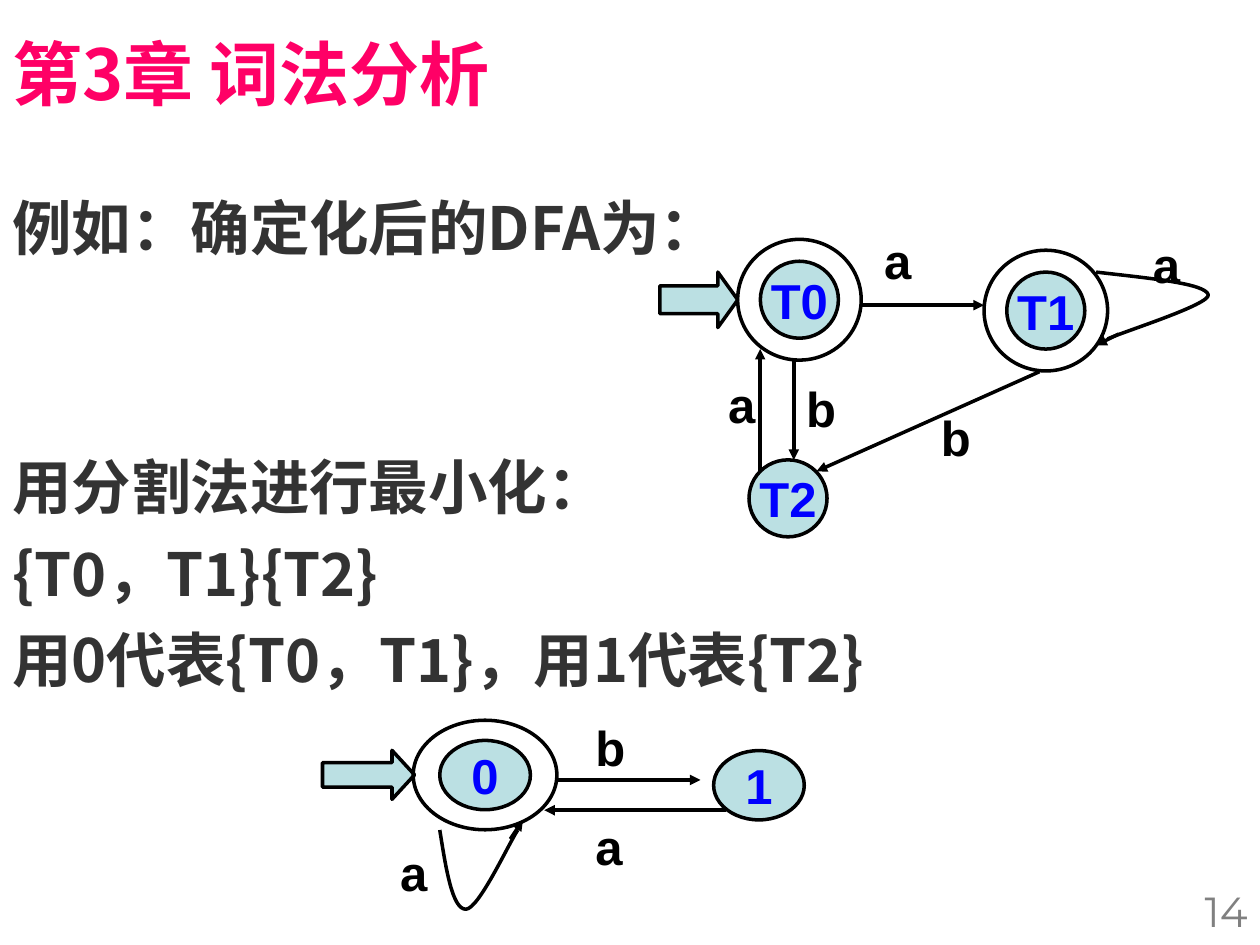
import pptx
import pptx.util
import pptx.dml.color
import pptx.enum.shapes
import pptx.enum.text
import pptx.oxml
import pptx.oxml.ns

Pt = pptx.util.Pt
qn = pptx.oxml.ns.qn
SHAPE = pptx.enum.shapes.MSO_SHAPE
ALIGN = pptx.enum.text.PP_ALIGN
ANCHOR = pptx.enum.text.MSO_ANCHOR

COLORS = {"title": "FF0066", "body": "333333", "page": "808080", "line": "000000",
          "state": "BBE0E3", "state_text": "0000FF", "label": "000000"}
HEADING = "Noto Sans CJK SC"
FORMATS = {
    "title": {"size": Pt(40), "bold": True, "name": HEADING},
    "body": {"size": Pt(34), "bold": True, "name": HEADING},
    "page": {"size": Pt(24), "bold": False, "name": "Montserrat"},
    "state_text": {"size": Pt(28), "bold": True, "name": "Arial"},
    "label": {"size": Pt(28), "bold": True, "name": "Arial"},
}

DFA = {
    "arrow": (0, 27.5, 44.6, 31.7, 0.36),
    "inner": (44.6, 44), "ring": (70.6, 69), "label_width": 57.6,
    "states": [("T0", 79.8, 43.3, True), ("T1", 220.6, 49.5, True),
               ("T2", 73.3, 156.8, False)],
    "edges": [(114.8, 46.4, 185.3, 46.4), (76.6, 77.9, 76.6, 134.8),
              (217, 84.4, 89.6, 141.3), (262.4, 62.8, 249.4, 69.3),
              (57.4, 141.3, 57.4, 71.4)],
    "loop": [(249.4, 27.5), (280.4, 31.1), (312, 34), (313.5, 40.5),
             (314.2, 46.2), (265.2, 61.4), (255.9, 65.7)],
    "labels": [("a", 121.2, 0.2), ("a", 32, 82.5), ("b", 153.6, 101.3),
               ("a", 274.8, 2.5), ("b", 76.6, 84.7)],
}
MINIMAL = {
    "arrow": (0.3, 22.8, 52.6, 28, 0.46),
    "inner": (51.8, 39.6), "ring": (82.1, 62.6), "label_width": 67,
    "states": [("0", 93.2, 36.9, True), ("1", 249.7, 42.7, False)],
    "edges": [(134.2, 39.7, 216.3, 39.7), (230.7, 57, 127, 57),
              (107.6, 73.5, 114.8, 62.7)],
    "loop": [(67.3, 68.3), (70.9, 90.8), (74.5, 113.6), (82.2, 113.6),
             (89.6, 113.6), (106.9, 75.7), (111.9, 68.3)],
    "labels": [("b", 149.2, 0.2), ("a", 149.2, 57), ("a", 37.6, 72)],
}


def rgb(key):
    return pptx.dml.color.RGBColor.from_string(COLORS[key])


def write(p, text, style):
    r = p.add_run()
    r.text = text
    for name, value in FORMATS[style].items():
        setattr(r.font, name, value)
    r.font.color.rgb = rgb(style)
    if FORMATS[style]["name"] == HEADING:
        ea = pptx.oxml.parse_xml(
            '<a:ea xmlns:a="http://schemas.openxmlformats.org/drawingml/2006/main"'
            f' typeface="{HEADING}"/>')
        r.font._element.find(qn("a:latin")).addnext(ea)


def text_box(s, box, lines, style, align=ALIGN.LEFT, anchor=ANCHOR.TOP):
    tf = s.shapes.add_textbox(*map(Pt, box)).text_frame
    tf.word_wrap = True
    tf.vertical_anchor = anchor
    for i, text in enumerate(lines):
        p = tf.paragraphs[0] if i == 0 else tf.add_paragraph()
        p.alignment = align
        write(p, text, style)
    return tf


def outline(sp, fill=None):
    sp.shadow.inherit = False
    if fill:
        sp.fill.solid()
        sp.fill.fore_color.rgb = rgb(fill)
    else:
        sp.fill.background()
    sp.line.color.rgb = rgb("line")
    sp.line.width = Pt(2)


def ellipse(s, cx, cy, size, fill=None):
    w, h = size
    sp = s.shapes.add_shape(SHAPE.OVAL, Pt(cx - w / 2), Pt(cy - h / 2), Pt(w), Pt(h))
    outline(sp, fill)
    return sp


def state(s, cx, cy, name, inner):
    tf = ellipse(s, cx, cy, inner, "state").text_frame
    tf.word_wrap = False
    tf.vertical_anchor = ANCHOR.MIDDLE
    tf.paragraphs[0].alignment = ALIGN.CENTER
    write(tf.paragraphs[0], name, "state_text")


def edge(s, x1, y1, x2, y2):
    c = s.shapes.add_connector(pptx.enum.shapes.MSO_CONNECTOR.STRAIGHT,
                               Pt(x1), Pt(y1), Pt(x2), Pt(y2))
    c.line.color.rgb = rgb("line")
    c.line.width = Pt(2)
    c.line._get_or_add_ln().append(pptx.oxml.parse_xml(
        '<a:tailEnd xmlns:a="http://schemas.openxmlformats.org/drawingml/2006/main"'
        ' type="triangle"/>'))
    c._element.spPr.append(pptx.oxml.parse_xml(
        '<a:effectLst xmlns:a="http://schemas.openxmlformats.org/drawingml/2006/main"/>'))


def curve(s, points):
    points = [(Pt(x), Pt(y)) for x, y in points]
    fb = s.shapes.build_freeform(*points[0])
    fb.add_line_segments(points[1:], close=False)
    sp = fb.convert_to_shape()
    outline(sp)
    segments = list(sp._element.iter(qn("a:lnTo")))
    for i in range(0, len(segments), 3):
        bezier = segments[i].makeelement(qn("a:cubicBezTo"), {})
        segments[i].addprevious(bezier)
        for segment in segments[i:i + 3]:
            bezier.append(segment[0])
            segment.getparent().remove(segment)


def automaton(s, x, y, d):
    ax, ay, w, h, head = d["arrow"]
    sp = s.shapes.add_shape(SHAPE.RIGHT_ARROW, Pt(x + ax), Pt(y + ay), Pt(w), Pt(h))
    sp.adjustments[0], sp.adjustments[1] = 0.5, head
    outline(sp, "state")
    for name, cx, cy, final in d["states"]:
        state(s, x + cx, y + cy, name, d["inner"])
        if final:
            ellipse(s, x + cx, y + cy, d["ring"])
    for x1, y1, x2, y2 in d["edges"]:
        edge(s, x + x1, y + y1, x + x2, y + y2)
    curve(s, [(x + px, y + py) for px, py in d["loop"]])
    for text, lx, ly in d["labels"]:
        text_box(s, (x + lx, y + ly, d["label_width"], 41), [text], "label")


def body(s, box):
    tf = text_box(s, box, ["例如：确定化后的DFA为：", "用分割法进行最小化：",
                           "{T0，T1}{T2}", "用0代表{T0，T1}，用1代表{T2}"], "body")
    for p, gap in zip(tf.paragraphs, (0, 107.2, 8.5, 8.5)):
        p.space_before = Pt(gap)


def main():
    prs = pptx.Presentation()
    prs.slide_width, prs.slide_height = Pt(720), Pt(540)
    s = prs.slides.add_slide(prs.slide_layouts[6])
    text_box(s, (552, 502.6, 168, 10.8), ["14"], "page", align=ALIGN.RIGHT)
    text_box(s, (0, 0, 592.6, 82.8), ["第3章 词法分析"], "title", anchor=ANCHOR.MIDDLE)
    body(s, (0, 105.8, 720, 340.6))
    automaton(s, 377, 128, DFA)
    automaton(s, 184, 406, MINIMAL)
    prs.save("out.pptx")


if __name__ == "__main__":
    main()
